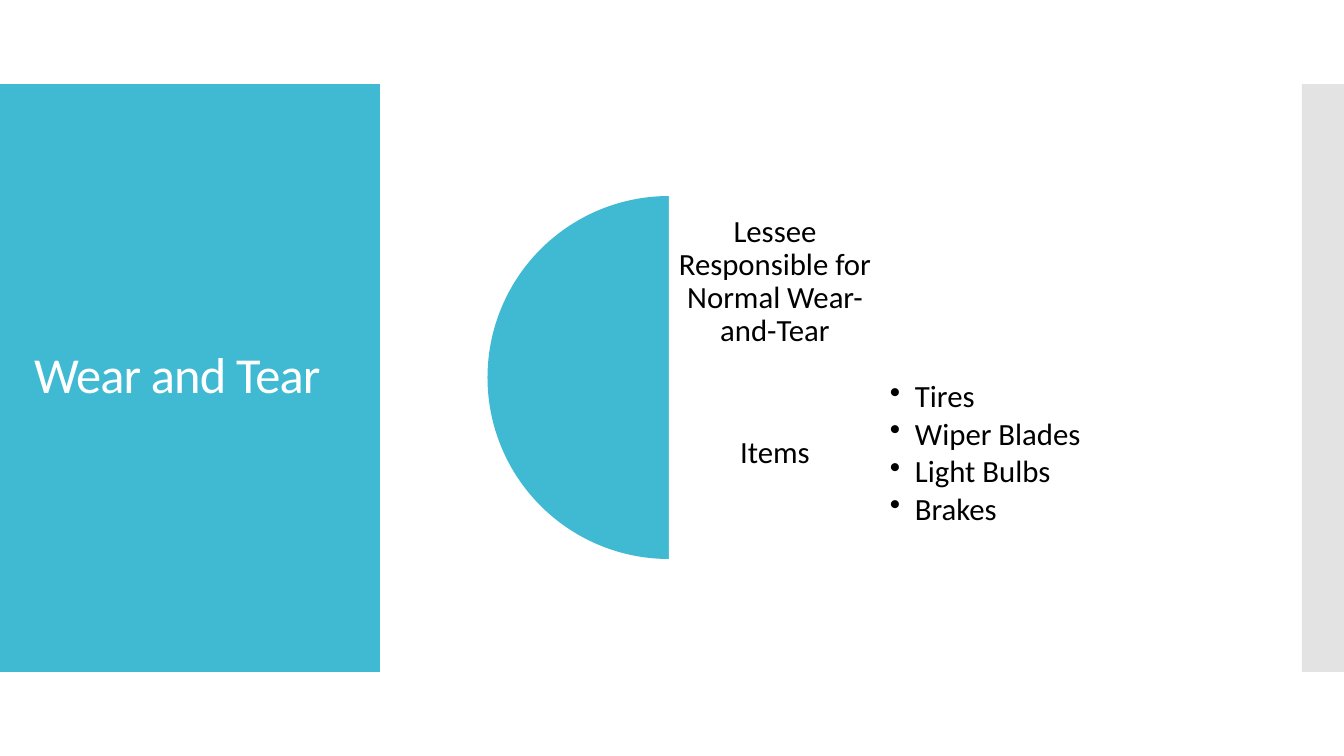
from dataclasses import dataclass

from lxml import etree
from pptx import Presentation
from pptx.dml.color import RGBColor
from pptx.enum.shapes import MSO_SHAPE
from pptx.enum.text import MSO_ANCHOR, PP_ALIGN
from pptx.oxml.ns import qn
from pptx.util import Emu, Pt

RECT, PIE = MSO_SHAPE.RECTANGLE, MSO_SHAPE.PIE
LEFT, CENTER = PP_ALIGN.LEFT, PP_ALIGN.CENTER
MIDDLE = MSO_ANCHOR.MIDDLE

# Content: each topic with its detail bullets
TITLE = "Wear and Tear"
TOPICS = [
    ("Lessee Responsible for Normal Wear-and-Tear", []),
    ("Items", ["Tires", "Wiper Blades", "Light Bulbs", "Brakes"]),
]


@dataclass(frozen=True)
class Theme:
    font: str = "Calibri"
    accent: str = "40BAD2"
    edge: str = "C8C8C8"
    white: str = "FFFFFF"
    text: str = "000000"
    title_size: int = 36
    body_size: int = 22
    line_spacing: float = 0.9
    bullet_gap: int = 3


THEME = Theme()

# Layout in px
SLIDE_W, SLIDE_H = 1344, 756
BAND_TOP, BAND_H = 84, 588
TITLE_BAND_W, EDGE_W = 380, 42
TITLE_BOX = (25, 124, 325, 507)
AXIS_X, PIE_TOP = 669, 196
PIE_SIZE, ROW_H = 363, 172
COLUMN_W = 212
INSET, BULLET_INDENT = 9, 25


def px(value):
    return Emu(round(value * 914400 / 100.8))


def add_filled(slide, preset, box, color, opacity=100):
    shape = slide.shapes.add_shape(preset, *map(px, box))
    shape.shadow.inherit = False
    shape.fill.solid()
    shape.fill.fore_color.rgb = RGBColor.from_string(color)
    shape.line.fill.background()
    if opacity < 100:
        srgb = shape.fill._xPr.find(f".//{qn('a:srgbClr')}")
        etree.SubElement(srgb, qn("a:alpha"), val=str(opacity * 1000))
    return shape


def add_half_pie(slide, top, size):
    half = add_filled(slide, PIE, (AXIS_X - size / 2, top, size, size), THEME.accent)
    half.adjustments[0] = 54
    half.adjustments[1] = 162


def add_text(slide, box, lines, size, color, align=LEFT, bullets=False, inset=INSET, tracking=0):
    frame = slide.shapes.add_textbox(*map(px, box)).text_frame
    frame.word_wrap = True
    frame.vertical_anchor = MIDDLE
    frame.margin_left = frame.margin_right = px(inset)
    frame.margin_top = frame.margin_bottom = px(inset)
    frame.text = "\n".join(lines)
    for paragraph in frame.paragraphs:
        paragraph.alignment = align
        paragraph.line_spacing = THEME.line_spacing
        if bullets:
            paragraph.space_after = Pt(THEME.bullet_gap)
            properties = paragraph._p.get_or_add_pPr()
            properties.set("marL", str(px(BULLET_INDENT)))
            properties.set("indent", str(-px(BULLET_INDENT)))
            etree.SubElement(properties, qn("a:buChar"), char="•")
        for run in paragraph.runs:
            run.font.name = THEME.font
            run.font.size = Pt(size)
            run.font.color.rgb = RGBColor.from_string(color)
            if tracking:
                run.font._element.set("spc", str(tracking))


def main():
    deck = Presentation()
    deck.slide_width, deck.slide_height = px(SLIDE_W), px(SLIDE_H)
    slide = deck.slides.add_slide(deck.slide_layouts[6])

    # Title band and right edge
    add_filled(slide, RECT, (0, BAND_TOP, TITLE_BAND_W, BAND_H), THEME.accent)
    add_filled(slide, RECT, (SLIDE_W - EDGE_W, BAND_TOP, EDGE_W, BAND_H), THEME.edge, 50)
    add_text(slide, TITLE_BOX, [TITLE], THEME.title_size, THEME.white, tracking=-60)

    # Nested half pies, each with its panel and topic
    for row, (topic, details) in enumerate(TOPICS):
        top = PIE_TOP + row * ROW_H
        size = PIE_SIZE if row == 0 else ROW_H
        add_half_pie(slide, top, size)
        add_filled(slide, RECT, (AXIS_X, top, 2 * COLUMN_W, size), THEME.white, 90)
        add_text(slide, (AXIS_X, top, COLUMN_W, ROW_H), [topic],
                 THEME.body_size, THEME.text, CENTER)
        if details:
            add_text(slide, (AXIS_X + COLUMN_W, top, COLUMN_W, ROW_H), details,
                     THEME.body_size, THEME.text, bullets=True)

    deck.save("out.pptx")


if __name__ == "__main__":
    main()
